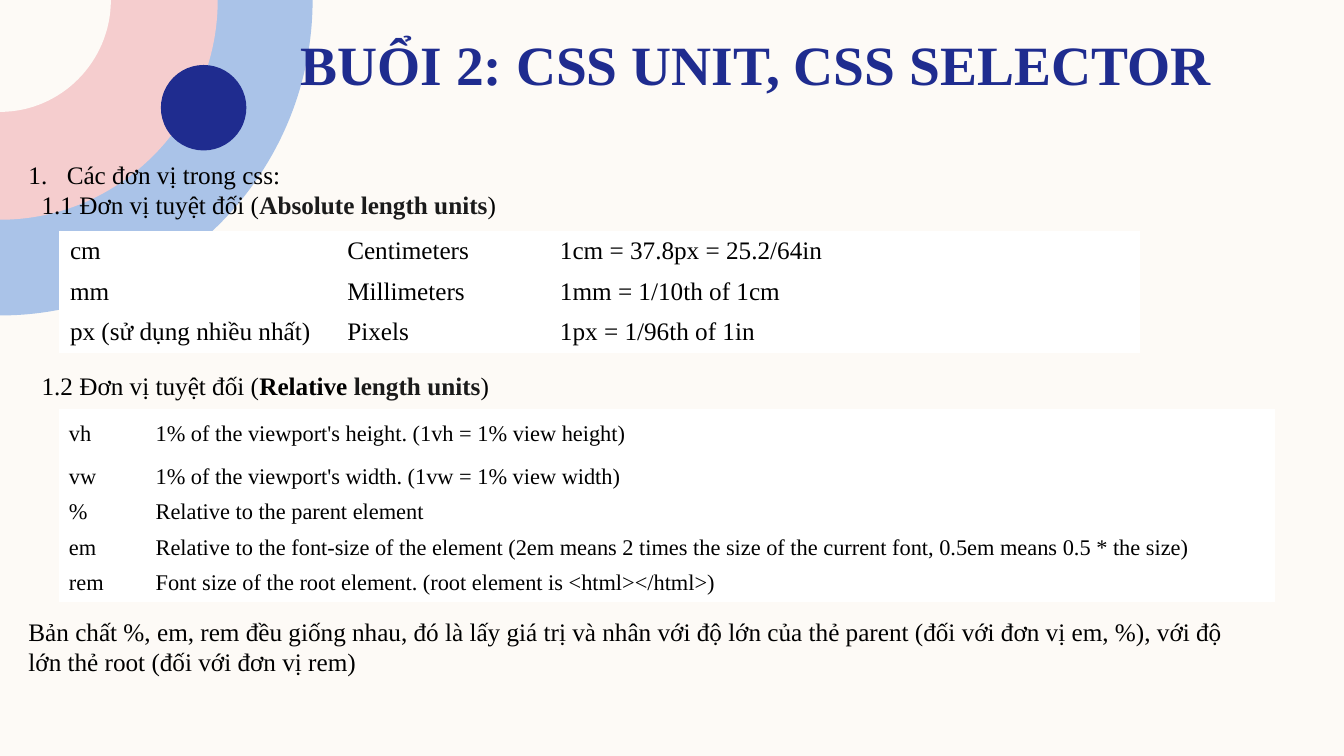
"""Build the CSS units slide with its corner rings, two tables and notes."""
from lxml.etree import SubElement
from pptx import Presentation
from pptx.dml.color import RGBColor as RGB
from pptx.enum.shapes import MSO_SHAPE as SHAPE
from pptx.enum.text import MSO_ANCHOR as ANCHOR, PP_ALIGN as ALIGN
from pptx.oxml.ns import qn
from pptx.util import Inches, Pt

W, H = Inches(13.33), Inches(7.5)
FONT = "Times New Roman"
ARC = 0.55
C = dict(bg="FDFAF6", blue="AAC3E8", pink="F5CDCE", navy="1F2C8F",
         black="000000", dark="1B1B1B", white="FFFFFF")
RINGS = [(23.26, 41.73, "blue"), (16.2, 29.07, "pink"), (8.25, 14.8, "bg")]
ABSOLUTE = [
    ("cm", "Centimeters", "1cm = 37.8px = 25.2/64in"),
    ("mm", "Millimeters", "1mm = 1/10th of 1cm"),
    ("px (sử dụng nhiều nhất)", "Pixels", "1px = 1/96th of 1in"),
]
RELATIVE = [
    ("vh", "1% of the viewport's height. (1vh = 1% view height)"),
    ("vw", "1% of the viewport's width. (1vw = 1% view width)"),
    ("%", "Relative to the parent element"),
    ("em", "Relative to the font-size of the element (2em means 2 times the "
           "size of the current font, 0.5em means 0.5 * the size)"),
    ("rem", "Font size of the root element. (root element is <html></html>)"),
]
SUMMARY = ("Bản chất %, em, rem đều giống nhau, đó là lấy giá trị và nhân với "
           "độ lớn của thẻ parent (đối với đơn vị em, %), với độ lớn thẻ root "
           "(đối với đơn vị rem)")


def px(share):
    """Turn a percentage of the slide width into a length."""
    return round(W * share / 100)


def py(share):
    """Turn a percentage of the slide height into a length."""
    return round(H * share / 100)


def box(x, y, w, h):
    """Turn percentages of the slide into left, top, width and height."""
    return px(x), py(y), px(w), py(h)


def paint(shape, color):
    """Give a shape a plain fill without line or shadow."""
    shape.shadow.inherit = False
    shape.fill.solid()
    shape.fill.fore_color.rgb = RGB.from_string(C[color])
    shape.line.fill.background()


def add_quarter(s, rx, ry, color):
    """Draw a quarter ellipse centred on the top left corner."""
    w, h = px(rx), py(ry)
    outline = s.shapes.build_freeform(0, 0)
    outline.add_line_segments([(w, 0), (0, h)], close=True)
    shape = outline.convert_to_shape()
    arc = shape._element.findall(".//" + qn("a:lnTo"))[1]
    arc.tag = qn("a:cubicBezTo")
    for i, (x, y) in enumerate([(w, h * ARC), (w * ARC, h)]):
        pt = SubElement(arc, qn("a:pt"), x=str(round(x)), y=str(round(y)))
        arc.insert(i, pt)
    paint(shape, color)


def add_run(p, text, size=18, color="black", bold=False):
    """Append formatted text to a paragraph."""
    r = p.add_run()
    r.text = text
    r.font.name, r.font.size, r.font.bold = FONT, Pt(size), bold
    r.font.color.rgb = RGB.from_string(C[color])


def add_text(s, place, anchor=ANCHOR.TOP):
    """Add a wrapping text box and return its text frame."""
    tf = s.shapes.add_textbox(*box(*place)).text_frame
    tf.word_wrap, tf.vertical_anchor = True, anchor
    return tf


def indent(p, left, first=0, numbered=False):
    """Indent a paragraph and optionally number it."""
    pPr = p._p.get_or_add_pPr()
    pPr.set("marL", str(Inches(left)))
    pPr.set("indent", str(Inches(first)))
    if numbered:
        SubElement(pPr, qn("a:buFont"), typeface="+mj-lt")
        SubElement(pPr, qn("a:buAutoNum"), type="arabicPeriod")


def add_heading(tf, number, parts, before=0):
    """Append a subheading whose unit name is bold."""
    p = tf.add_paragraph()
    p.line_spacing, p.space_before = Pt(21.5), Pt(before)
    indent(p, 0.13)
    add_run(p, f"{number} Đơn vị tuyệt đối (")
    for text, color in parts:
        add_run(p, text, color=color, bold=True)
    add_run(p, ")")


def add_units(s, x, y, cols, rows, data, size, pad=(0.1, 0.05)):
    """Add a white table of units."""
    frame = s.shapes.add_table(len(rows), len(cols),
                               *box(x, y, sum(cols), sum(rows)))
    table = frame.table
    table.first_row = table.horz_banding = False
    for col, share in zip(table.columns, cols):
        col.width = px(share)
    for row, share, texts in zip(table.rows, rows, data):
        row.height = py(share)
        for cell, text in zip(row.cells, texts):
            cell.fill.solid()
            cell.fill.fore_color.rgb = RGB.from_string(C["white"])
            cell.vertical_anchor = ANCHOR.MIDDLE
            cell.margin_left = cell.margin_right = Inches(pad[0])
            cell.margin_top = cell.margin_bottom = Inches(pad[1])
            add_run(cell.text_frame.paragraphs[0], text, size=size)


def main():
    """Assemble and save the slide."""
    prs = Presentation()
    prs.slide_width, prs.slide_height = W, H
    s = prs.slides.add_slide(prs.slide_layouts[6])
    s.background.fill.solid()
    s.background.fill.fore_color.rgb = RGB.from_string(C["bg"])

    for rx, ry, color in RINGS:
        add_quarter(s, rx, ry, color)
    paint(s.shapes.add_shape(SHAPE.OVAL, *box(11.97, 8.6, 6.36, 11.3)), "navy")

    p = add_text(s, (12.45, 3.33, 87.55, 11.2), ANCHOR.MIDDLE).paragraphs[0]
    p.alignment, p.line_spacing = ALIGN.CENTER, 0.9
    add_run(p, "BUỔI 2: CSS UNIT, CSS SELECTOR", 39.6, "navy", True)

    tf = add_text(s, (1.38, 20.4, 50, 41.73))
    p = tf.paragraphs[0]
    p.line_spacing = Pt(21.5)
    indent(p, 0.38, -0.38, numbered=True)
    add_run(p, "Các đơn vị trong css:")
    add_heading(tf, "1.1", [("Absolute length units", "dark")])
    add_heading(tf, "1.2", [("Relative ", "black"), ("length units", "dark")],
                before=108)

    add_units(s, 4.46, 30.57, [20.63, 15.83, 43.89], [5.33] * 3, ABSOLUTE, 18)
    add_units(s, 4.46, 54.13, [6.45, 83.95], [6.6] + [4.7] * 4, RELATIVE, 16,
              pad=(0.09, 0.04))

    p = add_text(s, (1.38, 80.9, 92.27, 9.47)).paragraphs[0]
    p.line_spacing = Pt(21.5)
    add_run(p, SUMMARY)
    prs.save("out.pptx")


main()
